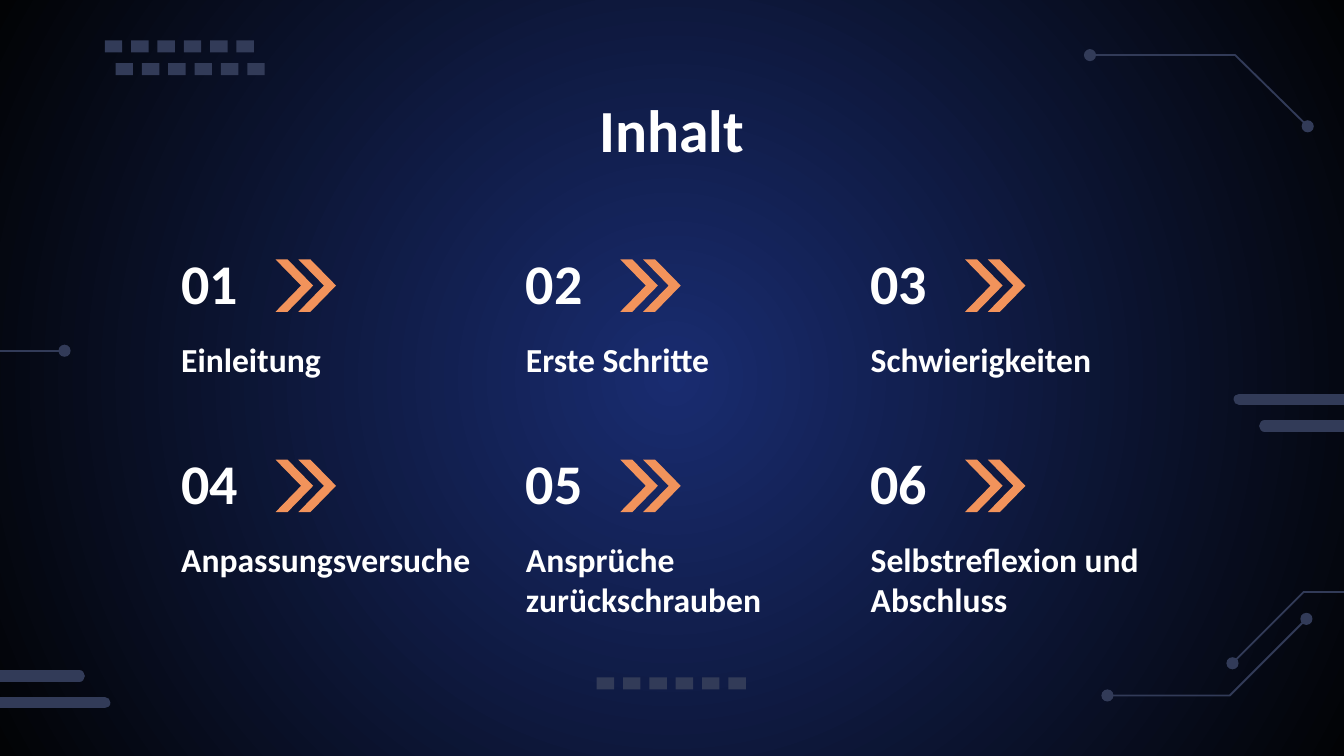
import pptx
import pptx.util
import pptx.dml.color
import pptx.enum.shapes
import pptx.enum.text
import pptx.oxml.ns
import lxml.etree

Inches = pptx.util.Inches
SHAPE = pptx.enum.shapes.MSO_SHAPE
ALIGN = pptx.enum.text.PP_ALIGN
ANCHOR = pptx.enum.text.MSO_ANCHOR
qn = pptx.oxml.ns.qn

FONT = "Calibri"
COLORS = {"glow": "192C70", "edge": "020305", "trim": "323B58",
          "text": "FFFFFF", "arrow": "F2935B"}
TOPICS = ["Einleitung", "Erste Schritte", "Schwierigkeiten",
          "Anpassungsversuche", "Ansprüche zurückschrauben",
          "Selbstreflexion und Abschluss"]


def color(name):
    """Return the named colour."""
    return pptx.dml.color.RGBColor.from_string(COLORS[name])


def backdrop(slide):
    """Fill the background with a round glow."""
    fill = slide.background.fill
    fill.gradient()
    for stop, name in zip(fill.gradient_stops, ("glow", "edge")):
        stop.color.rgb = color(name)
    grad = slide.element.find(".//" + qn("a:gradFill"))
    grad.remove(grad.find(qn("a:lin")))
    ring = lxml.etree.SubElement(grad, qn("a:path"), {"path": "circle"})
    lxml.etree.SubElement(ring, qn("a:fillToRect"),
                          dict.fromkeys("ltrb", "50000"))


def solid(slide, kind, x, y, w, h, name):
    """Add a plain filled shape."""
    shape = slide.shapes.add_shape(kind, Inches(x), Inches(y),
                                   Inches(w), Inches(h))
    shape.shadow.inherit = False
    shape.fill.solid()
    shape.fill.fore_color.rgb = color(name)
    shape.line.fill.background()
    return shape


def write(slide, x, y, w, h, text, size, align=ALIGN.LEFT, anchor=ANCHOR.TOP):
    """Add a bold white text box."""
    frame = slide.shapes.add_textbox(Inches(x), Inches(y),
                                     Inches(w), Inches(h)).text_frame
    frame.word_wrap = True
    frame.vertical_anchor = anchor
    frame.margin_left = frame.margin_right = Inches(0.1)
    frame.margin_top = frame.margin_bottom = Inches(0.1)
    frame.text = text
    para = frame.paragraphs[0]
    para.alignment = align
    font = para.runs[0].font
    font.name, font.size, font.bold = FONT, pptx.util.Pt(size), True
    font.color.rgb = color("text")


def rule(slide, x, y, w, weight, cap="flat"):
    """Add a level line of the given weight and cap."""
    line = slide.shapes.add_connector(
        pptx.enum.shapes.MSO_CONNECTOR.STRAIGHT,
        Inches(x), Inches(y), Inches(x + w), Inches(y))
    line.line.color.rgb = color("trim")
    line.line.width = pptx.util.Pt(weight)
    line.element.spPr.find(qn("a:ln")).set("cap", cap)
    lxml.etree.SubElement(line.element.spPr, qn("a:effectLst"))


def dot(slide, x, y, size=0.09):
    """Add a node centred on a point."""
    solid(slide, SHAPE.OVAL, x - size / 2, y - size / 2, size, size, "trim")


def trace(slide, x, y, points, ends):
    """Draw a bent circuit path with dots at the chosen points."""
    spots = [(x + dx, y + dy) for dx, dy in points]
    first, *rest = [(Inches(px), Inches(py)) for px, py in spots]
    pen = slide.shapes.build_freeform(*first)
    pen.add_line_segments(rest, close=False)
    shape = pen.convert_to_shape()
    shape.shadow.inherit = False
    shape.fill.background()
    shape.line.color.rgb = color("trim")
    shape.line.width = pptx.util.Pt(1)
    for end in ends:
        dot(slide, *spots[end])


def dashes(slide, x, y, w, h, count=6, size=0.13):
    """Spread a row of small blocks over the box."""
    step = (w - size) / (count - 1)
    for i in range(count):
        solid(slide, SHAPE.RECTANGLE, x + i * step, y, size, h, "trim")


def trim(slide, w, h):
    """Decorate the slide edges."""
    rule(slide, 0, 2.61, 0.48, 1)
    dot(slide, 0.48, 2.61)
    trace(slide, w - 1.89, 0.41, [(0, 0), (1.08, 0), (1.62, 0.53)], (0, 2))
    trace(slide, w - 0.83, h - 1.22, [(0, 0.53), (0.53, 0), (0.83, 0)], (0,))
    trace(slide, w - 1.76, h - 1.02, [(0, 0.57), (0.91, 0.57), (1.48, 0)],
          (0, 2))
    for x, y in ((0.78, 0.3), (0.86, 0.47), (4.44, 5.04)):
        dashes(slide, x, y, 1.11, 0.09)
    for x, y, long in ((w - 0.78, 2.97, 0.78), (w - 0.59, 3.17, 0.59),
                       (0, 5.03, 0.59), (0, 5.23, 0.78)):
        rule(slide, x, y, long, 6, "rnd")


def entry(slide, x, y, w, h, number, topic):
    """Place number, double arrow and topic in the box."""
    write(slide, x, y, 0.8, 0.63, f"{number:02}", 30, anchor=ANCHOR.BOTTOM)
    for shift in (0.8, 0.97):
        arrow = solid(slide, SHAPE.CHEVRON, x + shift, y + 0.11, 0.28, 0.39,
                      "arrow")
        arrow.adjustments[0] = 0.68
    write(slide, x, y + 0.6, w, h - 0.6, topic, 18)


def agenda(slide, x, y, w, h, cols=3, rows=2):
    """Lay the topics out in an even grid."""
    wide, tall = 2.38, 1.15
    across, down = (w - wide) / (cols - 1), (h - tall) / (rows - 1)
    for i, topic in enumerate(TOPICS):
        row, col = divmod(i, cols)
        entry(slide, x + col * across, y + row * down, wide, tall,
              i + 1, topic)


def main():
    """Build and save the slide."""
    deck = pptx.Presentation()
    w, h = 10, 10 * 9 / 16
    deck.slide_width, deck.slide_height = Inches(w), Inches(h)
    slide = deck.slides.add_slide(deck.slide_layouts[6])
    backdrop(slide)
    trim(slide, w, h)
    write(slide, 1, 0.59, 8, 0.63, "Inhalt", 32, ALIGN.CENTER)
    agenda(slide, 1.25, 1.82, 7.51, 2.64)
    deck.save("out.pptx")


if __name__ == "__main__":
    main()
